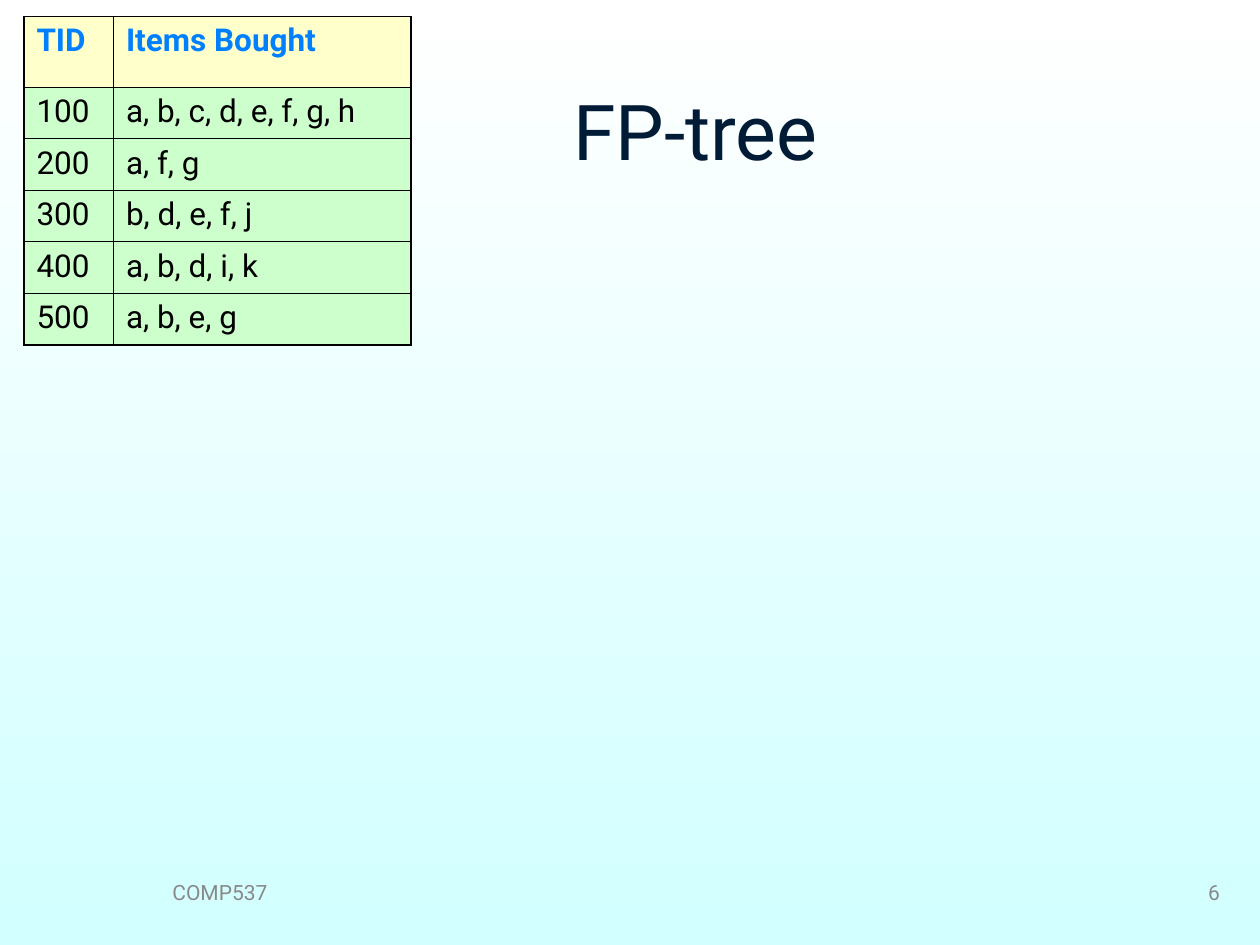
from lxml.etree import SubElement
from pptx import Presentation
from pptx.dml.color import RGBColor
from pptx.enum.text import MSO_ANCHOR, PP_ALIGN
from pptx.oxml.ns import qn
from pptx.util import Inches, Pt

FONT = "Roboto"
WHITE = RGBColor(0xFF, 0xFF, 0xFF)
PALE_CYAN = RGBColor(0xD2, 0xFF, 0xFF)
NAVY = RGBColor(0x00, 0x1B, 0x36)
GREY = RGBColor(0x89, 0x89, 0x89)
BLUE = RGBColor(0x00, 0x80, 0xFF)
BLACK = RGBColor(0x00, 0x00, 0x00)
CREAM = RGBColor(0xFF, 0xFF, 0xCC)
PALE_GREEN = RGBColor(0xCC, 0xFF, 0xCC)
OUTER, INNER = Pt(1.08), Pt(0.45)


def write(frame, text, size, color, align=PP_ALIGN.LEFT, bold=False):
    paragraph = frame.paragraphs[0]
    paragraph.alignment = align
    run = paragraph.add_run()
    run.text = text
    run.font.color.rgb = color
    for name, value in {"name": FONT, "size": Pt(size), "bold": bold}.items():
        setattr(run.font, name, value)


def add_border(cell, side, width):
    line = SubElement(cell._tc.get_or_add_tcPr(), qn(f"a:{side}"), w=str(width))
    fill = SubElement(line, qn("a:solidFill"))
    SubElement(fill, qn("a:srgbClr"), val=str(BLACK))


presentation = Presentation()
presentation.slide_width, presentation.slide_height = Inches(10), Inches(7.5)
slide = presentation.slides.add_slide(presentation.slide_layouts[6])

# Background, white at the top to pale cyan at the bottom
background = slide.background.fill
background.gradient()
background.gradient_angle = 270
for stop, position, color in zip(background.gradient_stops, (0, 1), (WHITE, PALE_CYAN)):
    stop.position = position
    stop.color.rgb = color

# Title and footer
for text, box, size, color, align in (
    ("FP-tree", (1.26, 0.23, 8.52, 1.6), 44, NAVY, PP_ALIGN.CENTER),
    ("COMP537", (1.27, 6.83, 2.08, 0.5), 12, GREY, PP_ALIGN.LEFT),
    ("6", (7.7, 6.83, 2.08, 0.5), 12, GREY, PP_ALIGN.RIGHT),
):
    frame = slide.shapes.add_textbox(*map(Inches, box)).text_frame
    frame.word_wrap = True
    frame.vertical_anchor = MSO_ANCHOR.MIDDLE
    write(frame, text, size, color, align)

# Transactions table
transactions = (
    ("TID", "Items Bought"),
    ("100", "a, b, c, d, e, f, g, h"),
    ("200", "a, f, g"),
    ("300", "b, d, e, f, j"),
    ("400", "a, b, d, i, k"),
    ("500", "a, b, e, g"),
)
last = len(transactions) - 1
table = slide.shapes.add_table(
    len(transactions), 2, Inches(0.19), Inches(0.13), Inches(3.08), Inches(2.6)
).table
for column, width in zip(table.columns, (0.71, 2.36)):
    column.width = Inches(width)

for row, transaction in enumerate(transactions):
    header = row == 0
    table.rows[row].height = Inches(0.56 if header else 0.41)
    for col, text in enumerate(transaction):
        cell = table.cell(row, col)
        outer_sides = {"lnL": col == 0, "lnR": col == 1, "lnT": header, "lnB": row == last}
        for side, is_outer in outer_sides.items():
            add_border(cell, side, OUTER if is_outer else INNER)
        cell.fill.solid()
        cell.fill.fore_color.rgb = CREAM if header else PALE_GREEN
        write(cell.text_frame, text, 18, BLUE if header else BLACK, bold=header)

presentation.save("out.pptx")
